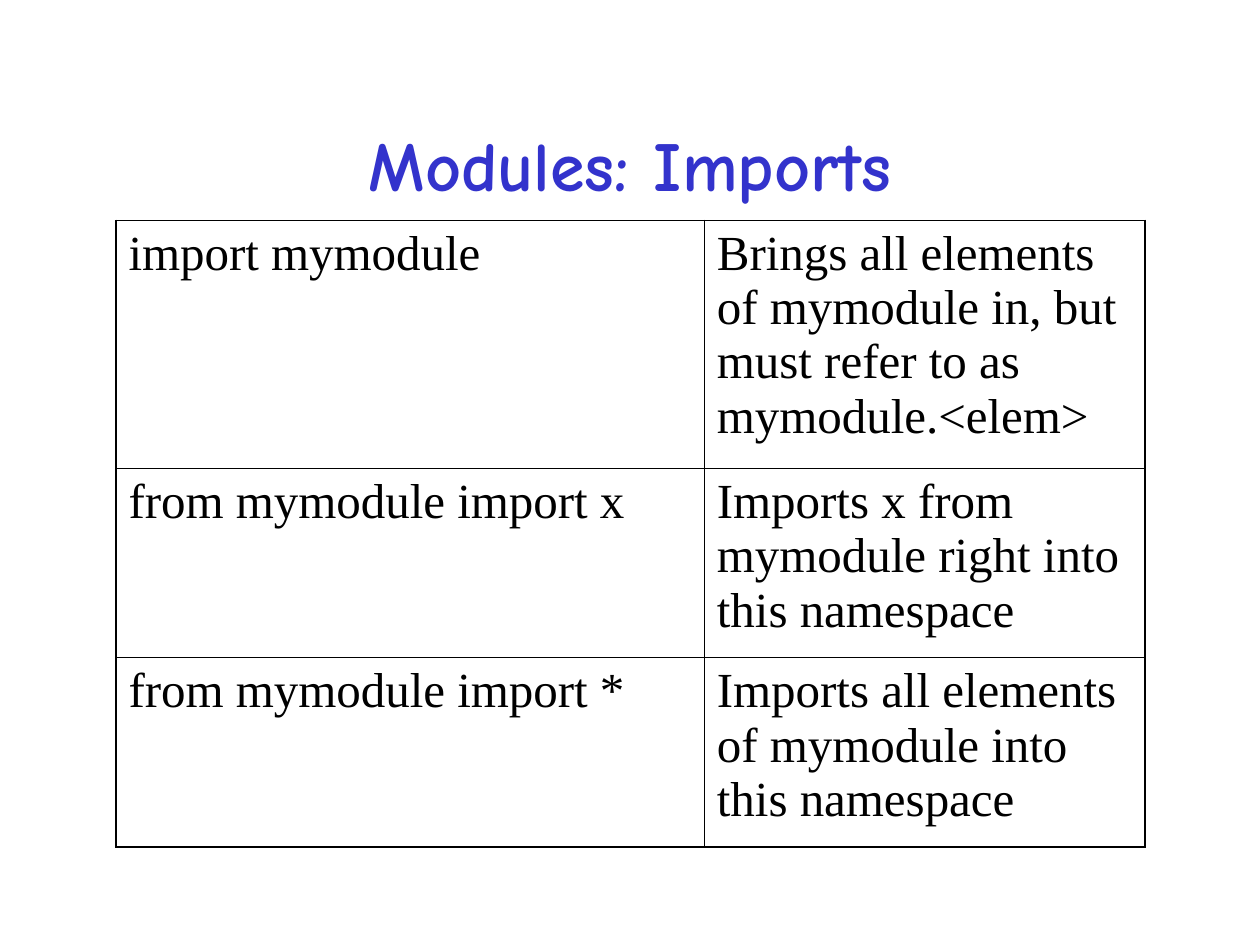
from dataclasses import dataclass
from typing import NamedTuple

from lxml import etree
from pptx import Presentation
from pptx.dml.color import RGBColor
from pptx.enum.text import MSO_ANCHOR, PP_ALIGN
from pptx.oxml.ns import qn
from pptx.util import Inches, Pt

CENTER = PP_ALIGN.CENTER
LEFT = PP_ALIGN.LEFT
MIDDLE = MSO_ANCHOR.MIDDLE
TOP = MSO_ANCHOR.TOP


@dataclass(frozen=True)
class Theme:
    title_font: str = "Comic Neue"
    body_font: str = "Times New Roman"
    title_size: float = 40
    body_size: float = 28
    space_before: float = 7
    title_color: str = "3333CC"
    ink: str = "000000"
    outer_line: float = 1.08
    inner_line: float = 0.45


class ImportForm(NamedTuple):
    statement: str
    effect: str
    height: float


THEME = Theme()
TITLE_FORMAT = {"name": THEME.title_font, "size": Pt(THEME.title_size), "bold": True}
BODY_FORMAT = {"name": THEME.body_font, "size": Pt(THEME.body_size), "bold": False}
COLUMN_WIDTHS = (4.67, 3.5)
IMPORT_FORMS = (
    ImportForm("import mymodule",
               "Brings all elements of mymodule in, but must refer to as mymodule.<elem>", 1.97),
    ImportForm("from mymodule import x",
               "Imports x from mymodule right into this namespace", 1.5),
    ImportForm("from mymodule import *",
               "Imports all elements of mymodule into this namespace", 1.5),
)


def write_text(tf, text: str, formats: dict, color: str, align, before: float = 0) -> None:
    tf.word_wrap = True
    p = tf.paragraphs[0]
    p.alignment = align
    p.space_before = Pt(before)
    r = p.add_run()
    r.text = text
    for name, value in formats.items():
        setattr(r.font, name, value)
    r.font.color.rgb = RGBColor.from_string(color)


def add_title(s, text: str) -> None:
    sp = s.shapes.add_textbox(Inches(0.75), Inches(0.67), Inches(8.5), Inches(1.25))
    sp.text_frame.vertical_anchor = MIDDLE
    write_text(sp.text_frame, text, TITLE_FORMAT, THEME.title_color, CENTER)


def set_borders(cell, outer: dict[str, bool]) -> None:
    """Draw each side, heavier where it lies on the table's outer edge."""
    props = cell._tc.get_or_add_tcPr()
    for side, is_outer in outer.items():
        width = THEME.outer_line if is_outer else THEME.inner_line
        line = etree.SubElement(props, qn(f"a:ln{side}"), w=str(Pt(width)))
        fill = etree.SubElement(line, qn("a:solidFill"))
        etree.SubElement(fill, qn("a:srgbClr"), val=THEME.ink)


def add_import_table(s, forms: tuple[ImportForm, ...]) -> None:
    last_row, last_col = len(forms) - 1, len(COLUMN_WIDTHS) - 1
    table = s.shapes.add_table(
        len(forms), len(COLUMN_WIDTHS), Inches(0.92), Inches(1.75),
        Inches(sum(COLUMN_WIDTHS)), Inches(sum(f.height for f in forms))).table
    table.first_row = table.horz_banding = False
    for column, width in zip(table.columns, COLUMN_WIDTHS):
        column.width = Inches(width)
    for i, form in enumerate(forms):
        table.rows[i].height = Inches(form.height)
        for j, text in enumerate((form.statement, form.effect)):
            cell = table.cell(i, j)
            cell.vertical_anchor = TOP
            set_borders(cell, {"L": j == 0, "R": j == last_col,
                               "T": i == 0, "B": i == last_row})
            cell.fill.background()
            write_text(cell.text_frame, text, BODY_FORMAT, THEME.ink, LEFT,
                       THEME.space_before)


def main() -> None:
    prs = Presentation()
    prs.slide_width, prs.slide_height = Inches(10), Inches(7.5)
    s = prs.slides.add_slide(prs.slide_layouts[6])
    add_title(s, "Modules: Imports")
    add_import_table(s, IMPORT_FORMS)
    prs.save("out.pptx")


if __name__ == "__main__":
    main()
